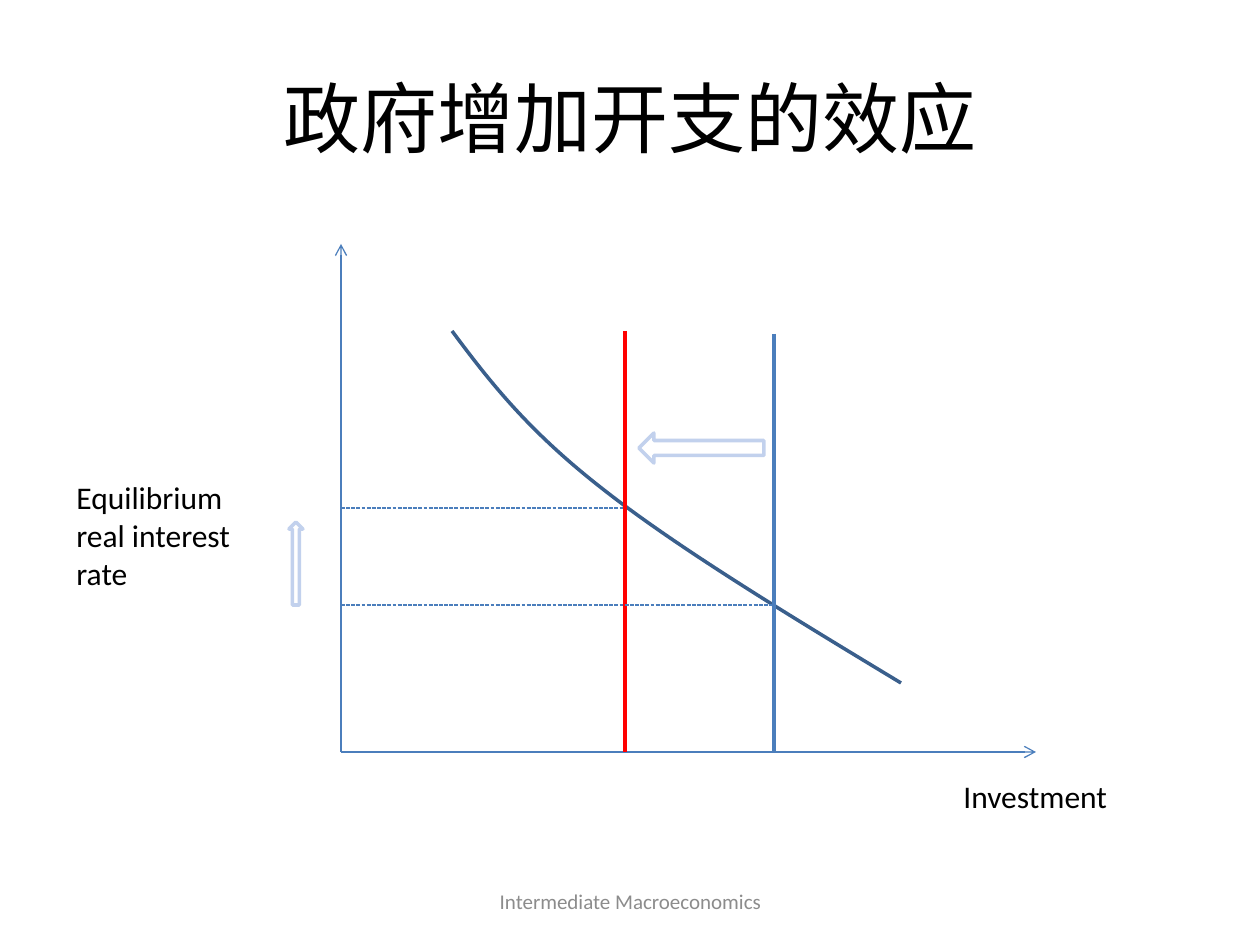
from lxml import etree
from pptx import Presentation
from pptx import util as u
from pptx.dml.color import RGBColor
from pptx.enum import dml, shapes, text
from pptx.oxml.ns import qn

SCALE = u.Inches(1) / 126
COLORS = {"ink": "000000", "muted": "8C8C8C", "axis": "4B7EBC",
          "curve": "3A5F8C", "shifted": "FF0000", "hint": "C2D1ED"}
ORIGIN = (341, 752)
RATE_BEFORE, RATE_AFTER = 605, 508
SAVING_BEFORE, SAVING_AFTER = 774, 625
DEMAND = [(452, 331), (490, 382), (528, 431), (604, 490),
          (678, 548), (790, 616), (901, 683)]


def px(*lengths):
    return [u.Emu(round(length * SCALE)) for length in lengths]


def rgb(name):
    return RGBColor.from_string(COLORS[name])


def apply(target, values):
    for name, value in values.items():
        setattr(target, name, value)


def write(box, words, size, color="ink", align=text.PP_ALIGN.LEFT,
          anchor=text.MSO_ANCHOR.TOP):
    frame = box.text_frame
    apply(frame, {"text": words, "word_wrap": True, "vertical_anchor": anchor})
    paragraph = frame.paragraphs[0]
    paragraph.alignment = align
    apply(paragraph.runs[0].font, {"size": u.Pt(size), "name": "Calibri"})
    paragraph.runs[0].font.color.rgb = rgb(color)


def add_label(slide, bounds, words, size=18, **style):
    write(slide.shapes.add_textbox(*px(*bounds)), words, size, **style)


def stroke(shape, color, width):
    shape.line.color.rgb = rgb(color)
    shape.line.width = u.Pt(width)


def add_line(slide, start, end, color="axis", width=0.75, dashed=False, arrow=False):
    line = slide.shapes.add_connector(
        shapes.MSO_CONNECTOR.STRAIGHT, *px(*start, *end))
    stroke(line, color, width)
    if dashed:
        line.line.dash_style = dml.MSO_LINE.SQUARE_DOT
    if arrow:
        etree.SubElement(line.line._get_or_add_ln(), qn("a:tailEnd"), type="arrow")
    etree.SubElement(line._element.spPr, qn("a:effectLst"))


def add_outline_arrow(slide, kind, bounds):
    arrow = slide.shapes.add_shape(kind, *px(*bounds))
    arrow.shadow.inherit = False
    arrow.fill.background()
    stroke(arrow, "hint", 2)


def add_curve(slide, points):
    builder = slide.shapes.build_freeform(*points[0], scale=SCALE)
    builder.add_line_segments(points[1:], close=False)
    curve = builder.convert_to_shape()
    curve.shadow.inherit = False
    curve.fill.background()
    stroke(curve, "curve", 2)
    outline = next(curve._element.iter(qn("a:path")))
    segments = outline.findall(qn("a:lnTo"))
    for first in range(0, len(segments), 3):
        bend = etree.SubElement(outline, qn("a:cubicBezTo"))
        for segment in segments[first:first + 3]:
            bend.append(segment[0])
            outline.remove(segment)


def main():
    deck = Presentation()
    apply(deck, dict(zip(("slide_width", "slide_height"), px(1260, 945))))
    slide = deck.slides.add_slide(deck.slide_layouts[5])
    centred = {"align": text.PP_ALIGN.CENTER, "anchor": text.MSO_ANCHOR.MIDDLE}

    title = slide.shapes.title
    apply(title, dict(zip(("left", "top", "width", "height"), px(63, 38, 1134, 157))))
    write(title, "政府增加开支的效应", 44, **centred)
    add_label(slide, (431, 876, 399, 50), "Intermediate Macroeconomics", 12,
              color="muted", **centred)

    left, bottom = ORIGIN
    for tip in ((1036, bottom), (left, 244)):
        add_line(slide, ORIGIN, tip, arrow=True)
    add_label(slide, (951, 771, 243, 50), "Investment")
    add_label(slide, (64, 472, 198, 127), "Equilibrium real interest rate")

    add_curve(slide, DEMAND)
    for saving, rate, top, color in (
            (SAVING_AFTER, RATE_AFTER, 331, "shifted"),
            (SAVING_BEFORE, RATE_BEFORE, 334, "axis")):
        add_line(slide, (left, rate), (saving, rate), dashed=True)
        add_line(slide, (saving, top), (saving, bottom), color, 2)

    add_outline_arrow(slide, shapes.MSO_SHAPE.LEFT_ARROW, (639, 433, 125, 30))
    add_outline_arrow(slide, shapes.MSO_SHAPE.UP_ARROW, (289, 522, 14, 83))
    deck.save("out.pptx")


if __name__ == "__main__":
    main()
